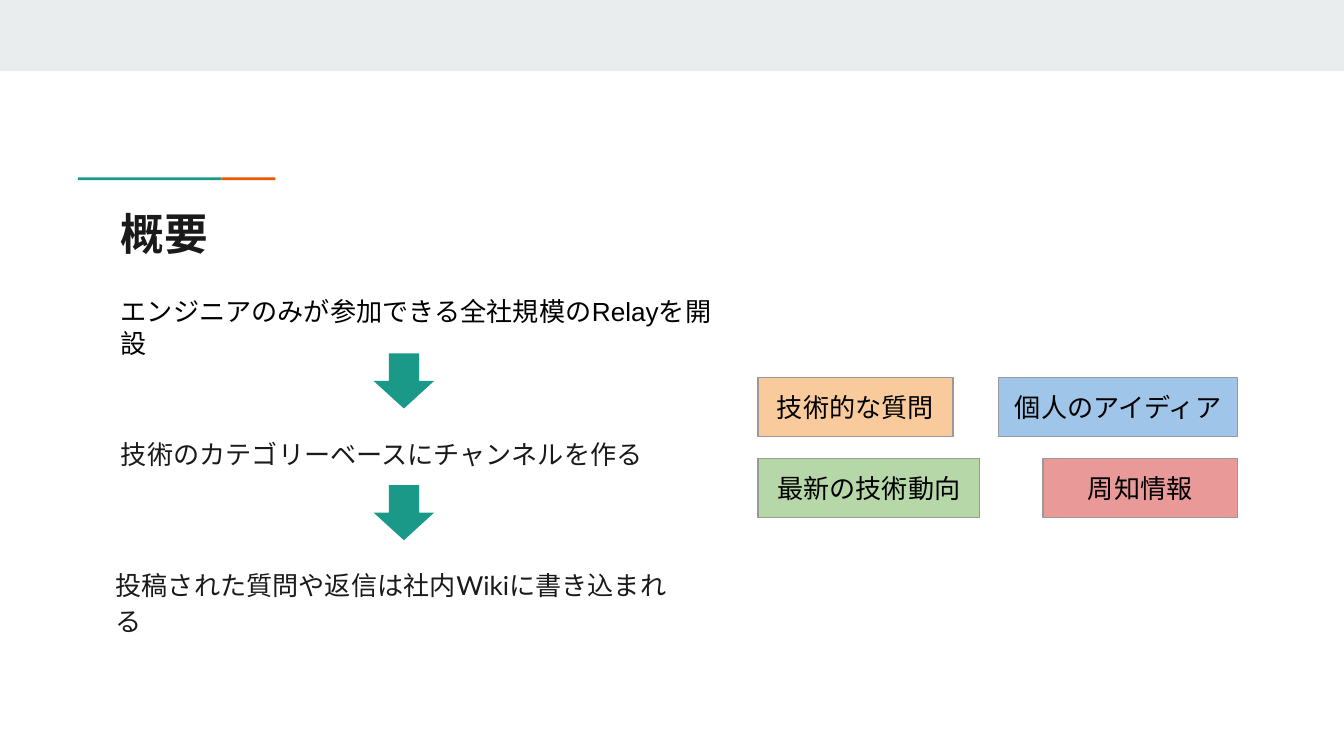
import pptx
import pptx.dml.color
import pptx.enum.shapes
import pptx.enum.text
import pptx.oxml
import pptx.util

SHAPE = pptx.enum.shapes.MSO_SHAPE
ALIGN = pptx.enum.text.PP_ALIGN
ANCHOR = pptx.enum.text.MSO_ANCHOR
FIT = pptx.enum.text.MSO_AUTO_SIZE
TEAL, ORANGE, INK, BLACK = "1A9988", "EB5600", "1A1A1A", "000000"

deck = pptx.Presentation()
deck.slide_width = pptx.util.Inches(10)
deck.slide_height = deck.slide_width * 9 // 16
COLUMN = deck.slide_width / 100
ROW = deck.slide_height / 56.25


def colour(value):
    return pptx.dml.color.RGBColor.from_string(value)


def grid(left, top, width, height):
    return [round(n * unit) for n, unit in
            ((left, COLUMN), (top, ROW), (width, COLUMN), (height, ROW))]


def put(part, box):
    part.left, part.top, part.width, part.height = grid(*box)


def block(slide, kind, box, fill, line=None):
    shape = slide.shapes.add_shape(kind, *grid(*box))
    shape.shadow.inherit = False
    shape.fill.solid()
    shape.fill.fore_color.rgb = colour(fill)
    if line:
        shape.line.color.rgb = colour(line)
        shape.line.width = pptx.util.Pt(0.75)
    else:
        shape.line.fill.background()
    return shape


def write(part, text, font, size, ink, bold=False, align=ALIGN.LEFT,
          anchor=ANCHOR.TOP, spacing=1.0, after=0, fit=FIT.NONE):
    frame = part.text_frame
    frame.word_wrap = True
    frame.auto_size = fit
    frame.vertical_anchor = anchor
    frame.margin_left = frame.margin_right = pptx.util.Inches(0.1)
    frame.margin_top = frame.margin_bottom = pptx.util.Inches(0.1)
    paragraph = frame.paragraphs[0]
    paragraph.alignment = align
    paragraph.line_spacing = spacing
    paragraph.space_before = pptx.util.Pt(0)
    paragraph.space_after = pptx.util.Pt(after)
    run = paragraph.add_run()
    run.text = text
    run.font.name = font
    run.font.size = pptx.util.Pt(size)
    run.font.bold = bold
    run.font.color.rgb = colour(ink)
    return paragraph


def draw_header(slide, box):
    left, top, width, height = box
    block(slide, SHAPE.RECTANGLE, (0, 0, 100, 5.3), "E9EDEE")
    teal_width, orange_width = 10.7, 4
    block(slide, SHAPE.RECTANGLE, (left - 2.2, top - 1.2, teal_width, 0.2), TEAL)
    block(slide, SHAPE.RECTANGLE,
          (left - 2.2 + teal_width, top - 1.2, orange_width, 0.2), ORANGE)
    title = slide.shapes.title
    put(title, box)
    write(title, "概要", "Manrope", 23.4, INK, bold=True)


def draw_steps(slide, box):
    left, top, width, height = box
    opening = slide.shapes.add_textbox(*grid(left, top, width, 4.4))
    write(opening, "エンジニアのみが参加できる全社規模のRelayを開設", "Arial", 14, BLACK,
          fit=FIT.SHAPE_TO_FIT_TEXT)

    later_steps = (
        (1, "技術のカテゴリーベースにチャンネルを作る", (left, top + 10.3, 44.2, 3.9)),
        (2, "投稿された質問や返信は社内Wikiに書き込まれる",
         (left - 0.4, top + height - 4.3, 44.9, 4.3)),
    )
    for index, text, place in later_steps:
        step = slide.placeholders[index]
        put(step, place)
        paragraph = write(step, text, "Lato", 14, INK, spacing=1.15, after=12)
        properties = paragraph._p.get_or_add_pPr()
        properties.set("marL", "0")
        properties.set("indent", "0")
        bullet = pptx.oxml.parse_xml(
            '<a:buNone xmlns:a="http://schemas.openxmlformats.org/drawingml/2006/main"/>')
        properties.append(bullet)

    for number in range(2):
        arrow = block(slide, SHAPE.RIGHT_ARROW,
                      (left + 20, top + 5.1 + 9.8 * number, 4.1, 4.5), TEAL)
        arrow.rotation = 90


def draw_topics(slide, box):
    left, top, width, height = box
    row_height = 4.4
    pitch = height - row_height
    topics = (
        (("技術的な質問", 14.5, "F9CB9C"), ("個人のアイディア", 17.8, "9FC5E8")),
        (("最新の技術動向", 16.5, "B6D7A8"), ("周知情報", 14.5, "EA9999")),
    )
    for row, pair in enumerate(topics):
        for side, (text, topic_width, fill) in enumerate(pair):
            place = (left + side * (width - topic_width), top + row * pitch,
                     topic_width, row_height)
            topic = block(slide, SHAPE.RECTANGLE, place, fill, "999999")
            write(topic, text, "Lato", 14, BLACK, align=ALIGN.CENTER,
                  anchor=ANCHOR.MIDDLE, fit=FIT.SHAPE_TO_FIT_TEXT)


overview = deck.slides.add_slide(deck.slide_layouts[3])
draw_header(overview, (8, 14.4, 84.1, 5.9))
draw_steps(overview, (8, 21, 47.7, 24.3))
draw_topics(overview, (56.4, 28.1, 35.7, 10.4))
deck.save("out.pptx")
